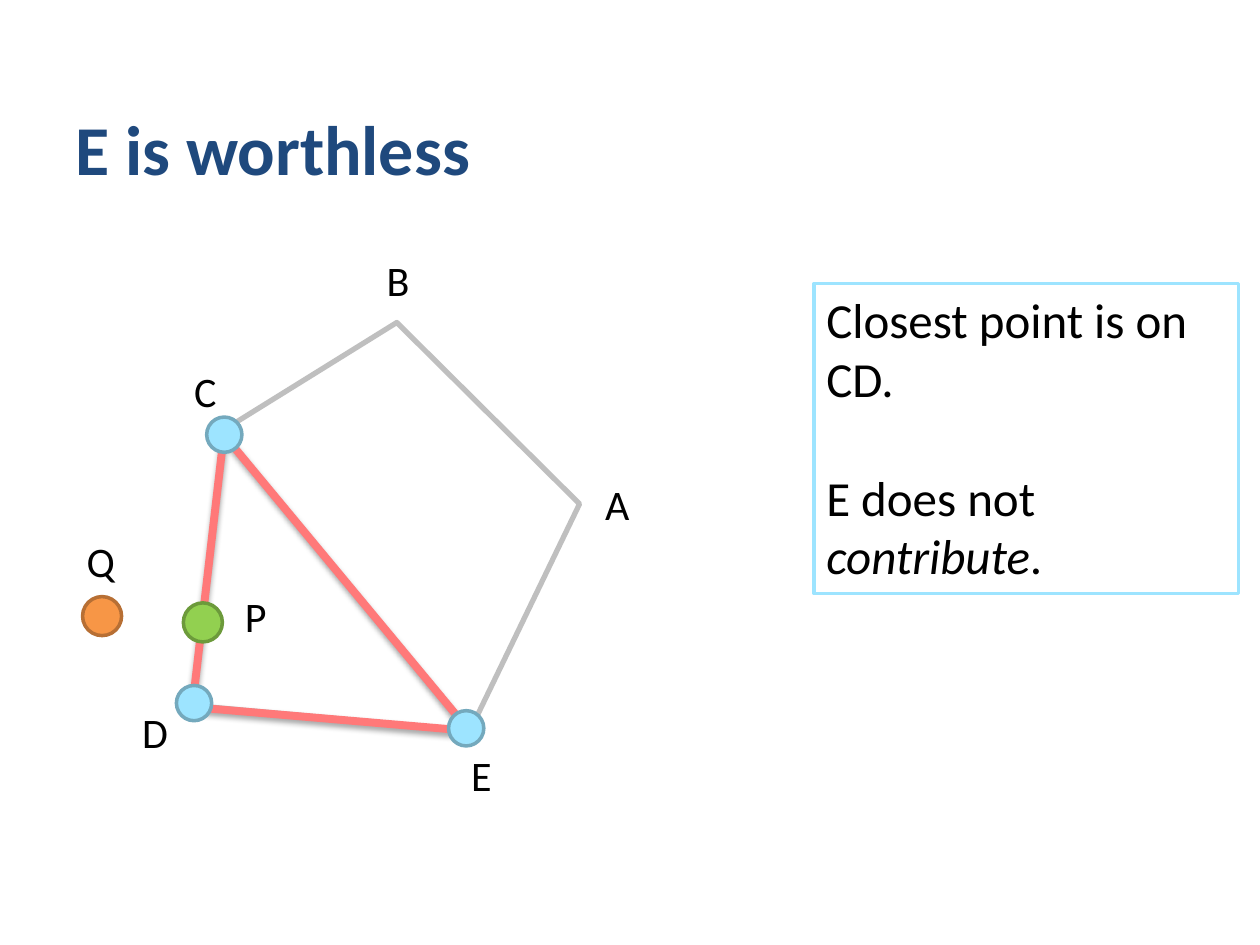
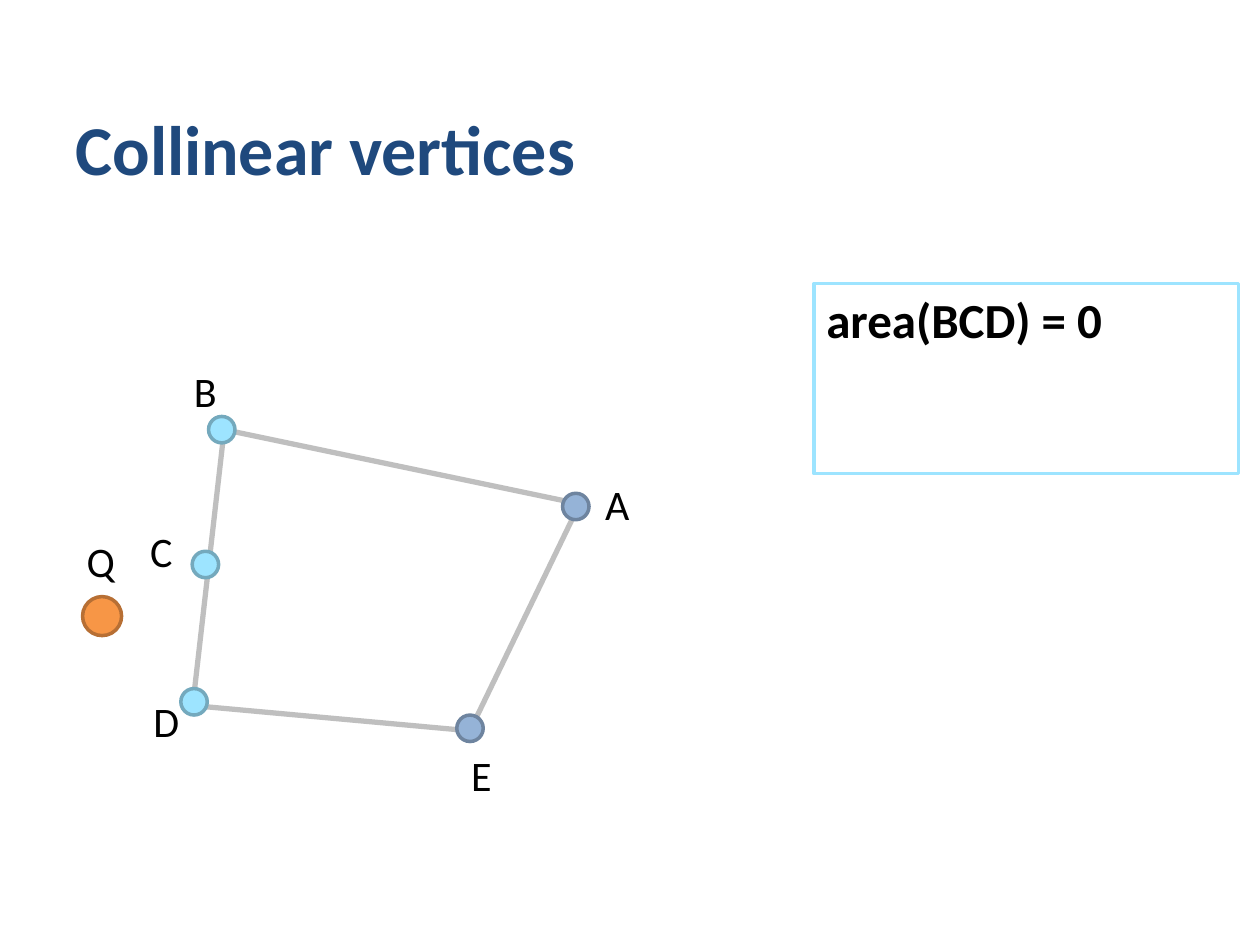
import pptx
import pptx.util
import pptx.dml.color
import pptx.enum.shapes
import pptx.enum.text
import pptx.oxml
import pptx.oxml.ns

# Grid of 10 columns by 7.5 rows that covers the slide
SLIDE_WIDTH = pptx.util.Inches(10)
SLIDE_HEIGHT = pptx.util.Inches(7.5)
COLUMN = SLIDE_WIDTH / 10
ROW = SLIDE_HEIGHT / 7.5

# Shared look
FONT = "Calibri"
NAVY, BLACK, WHITE = "1F497D", "000000", "FFFFFF"
SKY, EDGE_GREY, SIMPLEX_RED = "9DE4FF", "BFBFBF", "FF7979"
VERTEX = (SKY, "74A9BD")
OTHER_VERTEX = ("95B3D7", "6E849F")
CLOSEST = ("92D050", "6C9A3B")
QUERY = ("F79646", "B76F34")
LABEL_WIDTH, LABEL_HEIGHT = 0.4, 0.5
NOTE_SIZE = 28

# Corners that both polygons share
RIGHT, LOWER_RIGHT = (4.6, 4), (3.73, 5.8)
LOWER_LEFT, UPPER_LEFT = (1.53, 5.6), (1.78, 3.41)
TOP = (3.15, 2.56)


def color(hex_string):
    return pptx.dml.color.RGBColor.from_string(hex_string)


def point(column, row):
    return round(column * COLUMN), round(row * ROW)


def area(column, row, columns, rows):
    return *point(column, row), *point(columns, rows)


def style_outline(item, hex_string, width):
    item.line.color.rgb = color(hex_string)
    item.line.width = pptx.util.Pt(width)


def style_text(paragraph, size, hex_string=BLACK, bold=False):
    for run in paragraph.runs:
        run.font.name = FONT
        run.font.size = pptx.util.Pt(size)
        run.font.bold = bold
        run.font.color.rgb = color(hex_string)


def add_title(slide, wording):
    title = slide.shapes.add_textbox(*area(0.5, 0.13, 8.25, 1.42))
    frame = title.text_frame
    frame.word_wrap = True
    frame.vertical_anchor = pptx.enum.text.MSO_ANCHOR.BOTTOM
    frame.text = wording
    style_text(frame.paragraphs[0], 40, NAVY, bold=True)


def add_note(slide, rows, paragraphs, bold=False):
    """Framed remark; each paragraph is a list of (text, italic) pieces."""
    note = slide.shapes.add_shape(
        pptx.enum.shapes.MSO_SHAPE.RECTANGLE, *area(6.46, 2.25, 3.37, rows))
    note.shadow.inherit = False
    note.fill.solid()
    note.fill.fore_color.rgb = color(WHITE)
    style_outline(note, SKY, 2)
    frame = note.text_frame
    frame.word_wrap = True
    frame.vertical_anchor = pptx.enum.text.MSO_ANCHOR.TOP
    for index, pieces in enumerate(paragraphs):
        paragraph = frame.add_paragraph() if index else frame.paragraphs[0]
        paragraph.alignment = pptx.enum.text.PP_ALIGN.LEFT
        if index:
            paragraph.space_before = pptx.util.Pt(NOTE_SIZE * 1.22)
        for text, italic in pieces:
            run = paragraph.add_run()
            run.text = text
            run.font.italic = italic
        style_text(paragraph, NOTE_SIZE, bold=bold)


def add_polygon(slide, corners):
    start, *others = [point(*corner) for corner in corners]
    builder = slide.shapes.build_freeform(*start)
    builder.add_line_segments(others, close=True)
    polygon = builder.convert_to_shape()
    polygon.shadow.inherit = False
    polygon.fill.background()
    style_outline(polygon, EDGE_GREY, 3)


def add_simplex_edge(slide, start, end):
    edge = slide.shapes.add_connector(
        pptx.enum.shapes.MSO_CONNECTOR.STRAIGHT, *point(*start), *point(*end))
    style_outline(edge, SIMPLEX_RED, 4.5)
    # Soft shadow straight below the edge
    edge._element.spPr.append(pptx.oxml.parse_xml(
        f'<a:effectLst {pptx.oxml.ns.nsdecls("a")}>'
        f'<a:outerShdw blurRad="{pptx.util.Pt(3.1)}" dist="{pptx.util.Pt(1.8)}"'
        ' dir="5400000" rotWithShape="0"><a:srgbClr val="000000">'
        '<a:alpha val="35000"/></a:srgbClr></a:outerShdw></a:effectLst>'))


def add_dot(slide, center, diameter, colors):
    column, row = center
    dot = slide.shapes.add_shape(
        pptx.enum.shapes.MSO_SHAPE.OVAL,
        *area(column - diameter / 2, row - diameter / 2, diameter, diameter))
    dot.shadow.inherit = False
    fill, outline = colors
    dot.fill.solid()
    dot.fill.fore_color.rgb = color(fill)
    style_outline(dot, outline, 2)


def add_labels(slide, centers):
    for letter, (column, row) in centers.items():
        label = slide.shapes.add_textbox(*area(
            column - LABEL_WIDTH / 2, row - LABEL_HEIGHT / 2,
            LABEL_WIDTH, LABEL_HEIGHT))
        label.text_frame.word_wrap = False
        label.text_frame.text = letter
        paragraph = label.text_frame.paragraphs[0]
        paragraph.alignment = pptx.enum.text.PP_ALIGN.CENTER
        style_text(paragraph, 24)


def add_query_point(slide):
    add_dot(slide, (0.81, 4.89), 0.31, QUERY)
    add_labels(slide, {"Q": (0.79, 4.45)})


def build_worthless_vertex(slide):
    add_title(slide, "E is worthless")
    add_note(slide, 2.46, [
        [("Closest point is on CD.", False)],
        [("E does not ", False), ("contribute", True), (".", False)]])
    # Pentagon with the simplex C, D, E
    add_simplex_edge(slide, (3.75, 5.83), (1.75, 3.42))
    add_polygon(slide, [UPPER_LEFT, LOWER_LEFT, LOWER_RIGHT, RIGHT, TOP])
    add_simplex_edge(slide, (1.53, 5.58), (1.78, 3.42))
    add_simplex_edge(slide, (3.72, 5.8), (1.5, 5.61))
    for vertex in [(1.78, 3.45), (3.7, 5.78), (1.54, 5.58)]:
        add_dot(slide, vertex, 0.28, VERTEX)
    # Closest point and letters
    add_dot(slide, (1.61, 4.94), 0.31, CLOSEST)
    add_labels(slide, {
        "A": (4.9, 4), "B": (3.16, 2.22), "C": (1.63, 3.1),
        "D": (1.23, 5.81), "E": (3.82, 6.15), "P": (2.03, 4.89)})
    add_query_point(slide)


def build_collinear_vertices(slide):
    add_title(slide, "Collinear vertices")
    add_note(slide, 1.51, [[("area(BCD) = 0", False)]], bold=True)
    add_polygon(slide, [UPPER_LEFT, LOWER_LEFT, LOWER_RIGHT, RIGHT])
    # Vertices on the line B, C, D, then the other two
    for vertex in [(1.76, 3.41), (1.63, 4.48), (1.54, 5.57)]:
        add_dot(slide, vertex, 0.21, VERTEX)
    for vertex in [(4.57, 4.02), (3.73, 5.78)]:
        add_dot(slide, vertex, 0.21, OTHER_VERTEX)
    add_labels(slide, {
        "A": (4.9, 4), "B": (1.63, 3.1), "C": (1.28, 4.37),
        "D": (1.32, 5.72), "E": (3.82, 6.15)})
    add_query_point(slide)


def main():
    deck = pptx.Presentation()
    deck.slide_width, deck.slide_height = SLIDE_WIDTH, SLIDE_HEIGHT
    blank = deck.slide_layouts[6]
    for build in (build_worthless_vertex, build_collinear_vertices):
        build(deck.slides.add_slide(blank))
    deck.save("out.pptx")


if __name__ == "__main__":
    main()
